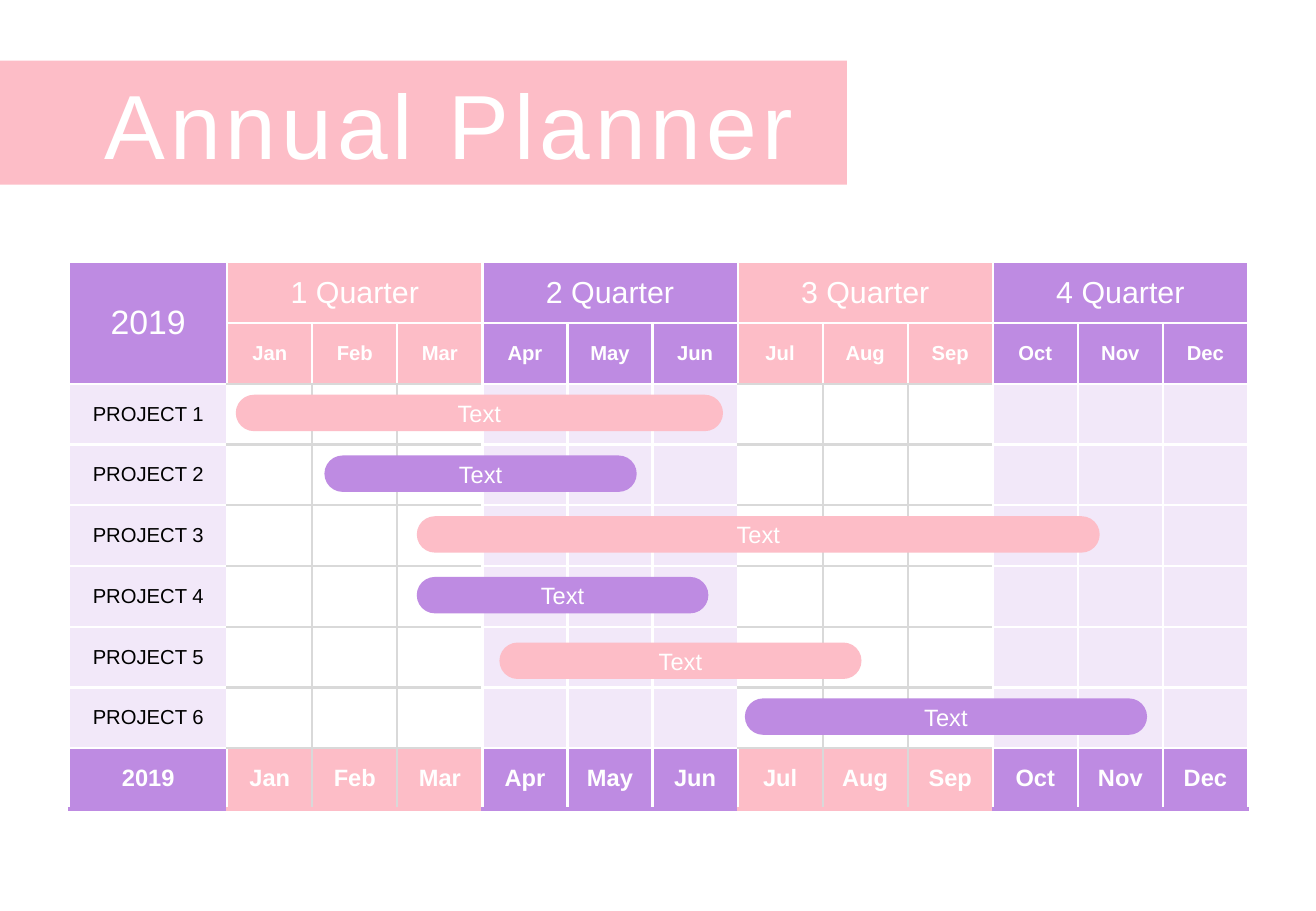
from lxml import etree
from pptx import Presentation
from pptx import util as u
from pptx.dml.color import RGBColor
from pptx.enum import shapes, text
from pptx.oxml import ns

PX = 9144
COLOURS = {
    "pink": "FDBDC7",
    "purple": "BE8BE2",
    "lilac": "F2E8F9",
    "white": "FFFFFF",
    "grey": "D9D9D9",
    "black": "000000",
}
MONTHS = ["Jan", "Feb", "Mar", "Apr", "May", "Jun", "Jul", "Aug", "Sep", "Oct", "Nov", "Dec"]
YEAR = "2019"
LABEL_WIDTH, MONTH_WIDTH, ROW_HEIGHT, BAR_HEIGHT = 130, 70, 50, 30
LAST_ROW = 8
BARS = [
    (343, 425, 562, "pink"),
    (613, 575, 331, "purple"),
    (267, 375, 257, "purple"),
    (194, 325, 401, "pink"),
    (343, 475, 240, "purple"),
    (411, 529, 298, "pink"),
]


def set_values(target, values):
    """Set each attribute of the target from a dict."""
    for name, value in values.items():
        setattr(target, name, value)


def rgb(colour):
    """Return the named colour."""
    return RGBColor.from_string(COLOURS[colour])


def scaled(box):
    """Turn a box in px into EMU."""
    return [value * PX for value in box]


def write(frame, words, size, colour="white", bold=False, alignment=text.PP_ALIGN.CENTER):
    """Write one formatted paragraph and return its run."""
    paragraph = frame.paragraphs[0]
    paragraph.alignment = alignment
    run = paragraph.add_run()
    run.text = words
    set_values(run.font, {"name": "Arial", "size": u.Pt(size), "bold": bold})
    run.font.color.rgb = rgb(colour)
    return run


def add_filled_shape(slide, kind, box, colour):
    """Add a flat shape without outline."""
    shape = slide.shapes.add_shape(kind, *scaled(box))
    shape.shadow.inherit = False
    shape.fill.solid()
    shape.fill.fore_color.rgb = rgb(colour)
    shape.line.fill.background()
    return shape


def add_heading(slide, box):
    """Place the title over a band that fills the box."""
    left, top, width, height = box
    band = add_filled_shape(slide, shapes.MSO_SHAPE.RECTANGLE, box, "pink")
    title = slide.shapes.title
    title_box = scaled((left + 22, top + 1, width - 56, height - 1))
    set_values(title, dict(zip(("left", "top", "width", "height"), title_box)))
    set_values(title.text_frame, {
        "auto_size": text.MSO_AUTO_SIZE.NONE,
        "vertical_anchor": text.MSO_ANCHOR.TOP,
        "word_wrap": True,
    })
    run = write(title.text_frame, "Annual Planner", 54, alignment=text.PP_ALIGN.RIGHT)
    run.font._element.set("spc", "300")
    title.element.addprevious(band.element)


def style_cell(cell, colour, borders):
    """Give a cell its borders, fill and centred layout."""
    properties = cell._tc.get_or_add_tcPr()
    for side in "LRTB":
        line_colour, width = borders[side]
        line = etree.SubElement(properties, ns.qn(f"a:ln{side}"), w=str(u.Pt(width)))
        fill = etree.SubElement(line, ns.qn("a:solidFill"))
        etree.SubElement(fill, ns.qn("a:srgbClr"), val=COLOURS[line_colour])
    cell.fill.solid()
    cell.fill.fore_color.rgb = rgb(colour)
    margins = dict.fromkeys(("margin_left", "margin_top", "margin_right", "margin_bottom"), 0)
    set_values(cell, {**margins, "vertical_anchor": text.MSO_ANCHOR.MIDDLE})


def cell_look(row, column):
    """Return the fill and borders that a grid position calls for."""
    quarter, month = divmod(column - 1, 3)
    pink = column > 0 and quarter % 2 == 0
    if row in (0, 1, LAST_ROW):
        colour = "pink" if pink else "purple"
    else:
        colour = "white" if pink else "lilac"
    borders = dict.fromkeys("LRTB", ("white", 1.5))
    grid = {
        "L": row > 1 and month > 0,
        "R": row > 1 and month < 2,
        "T": row > 1,
        "B": row > 0,
    }
    for side, grey in grid.items():
        if pink and grey:
            borders[side] = ("grey", 1.5)
    if row == LAST_ROW:
        borders["B"] = (colour, 2.25)
    return colour, borders


def add_calendar(slide, left, top):
    """Add the year table with quarters, months and projects."""
    width = LABEL_WIDTH + len(MONTHS) * MONTH_WIDTH
    rows = LAST_ROW + 1
    box = scaled((left, top, width, rows * ROW_HEIGHT))
    table = slide.shapes.add_table(rows, len(MONTHS) + 1, *box).table
    set_values(table, {"first_row": False, "horz_banding": False})
    for index, column in enumerate(table.columns):
        column.width = (MONTH_WIDTH if index else LABEL_WIDTH) * PX
    for row in range(rows):
        for column in range(len(MONTHS) + 1):
            style_cell(table.cell(row, column), *cell_look(row, column))

    table.cell(0, 0).merge(table.cell(1, 0))
    write(table.cell(0, 0).text_frame, YEAR, 20)
    write(table.cell(LAST_ROW, 0).text_frame, YEAR, 14, bold=True)
    for quarter in range(4):
        first = 1 + quarter * 3
        table.cell(0, first).merge(table.cell(0, first + 2))
        write(table.cell(0, first).text_frame, f"{quarter + 1} Quarter", 18)
    for column, month in enumerate(MONTHS, 1):
        for row, size in ((1, 12), (LAST_ROW, 14)):
            write(table.cell(row, column).text_frame, month, size, bold=True)
    for project in range(1, 7):
        write(table.cell(project + 1, 0).text_frame, f"PROJECT {project}", 12, "black")


def add_bar(slide, box, colour):
    """Add one rounded project bar."""
    bar = add_filled_shape(slide, shapes.MSO_SHAPE.ROUNDED_RECTANGLE, box, colour)
    bar.adjustments[0] = 0.5
    bar.text_frame.vertical_anchor = text.MSO_ANCHOR.MIDDLE
    write(bar.text_frame, "Text", 14)


def main():
    """Build and save the planner."""
    presentation = Presentation()
    set_values(presentation, {"slide_width": 1083 * PX, "slide_height": 750 * PX})
    slide = presentation.slides.add_slide(presentation.slide_layouts[5])
    add_heading(slide, (0, 50, 697, 102))
    add_calendar(slide, 57, 216)
    for left, top, width, colour in BARS:
        add_bar(slide, (left, top, width, BAR_HEIGHT), colour)
    presentation.save("out.pptx")


if __name__ == "__main__":
    main()
